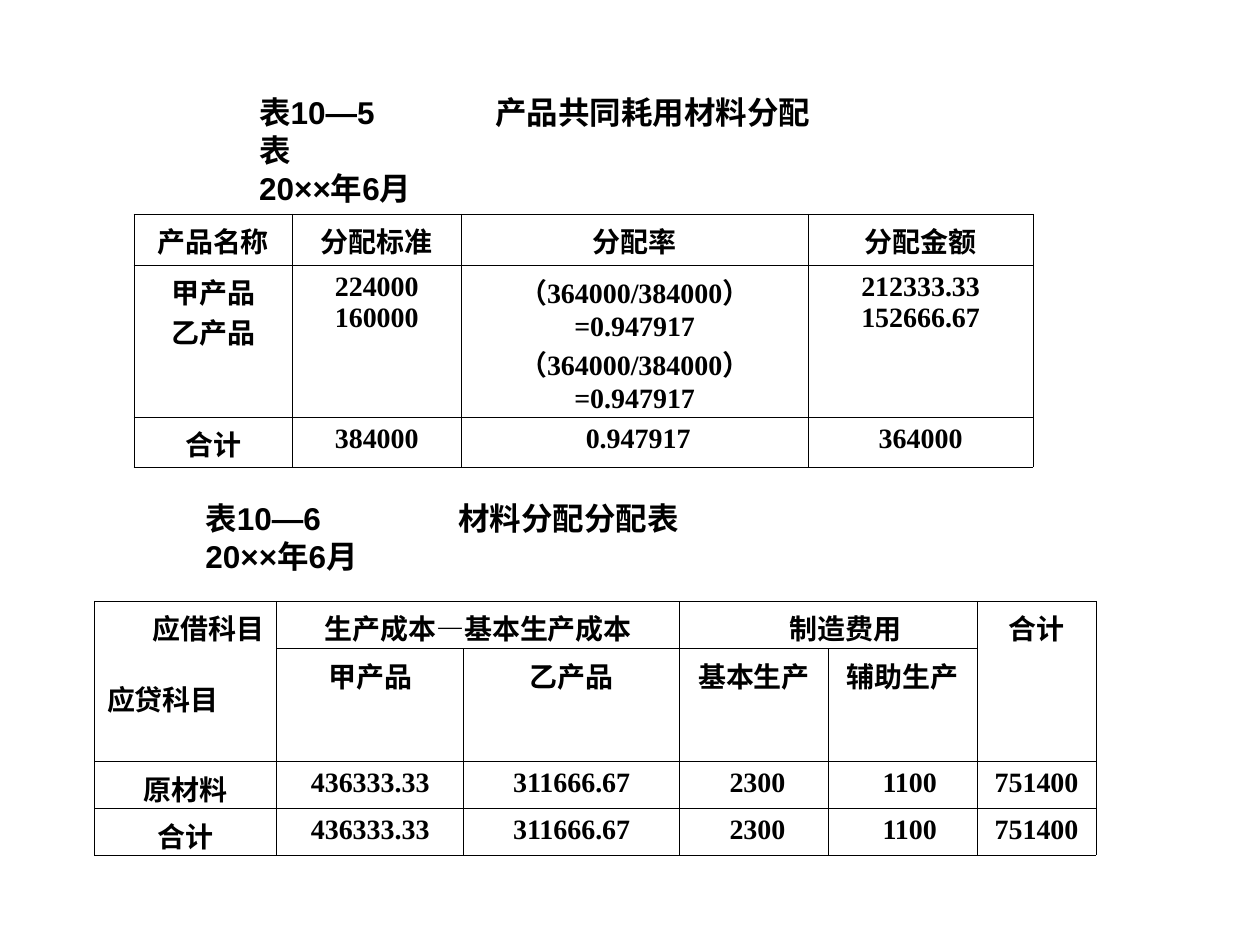
from lxml.etree import SubElement
from pptx import Presentation
from pptx.dml.color import RGBColor
from pptx.enum.text import MSO_ANCHOR, PP_ALIGN
from pptx.oxml import parse_xml
from pptx.oxml.ns import nsdecls, qn
from pptx.util import Pt

BLACK = RGBColor(0, 0, 0)
CAPTION_FONT = "Arial"
TABLE_FONT = "Times New Roman"
CHINESE_FONT = "Noto Sans CJK SC"


def write_text(frame, paragraphs, font, size, align=PP_ALIGN.LEFT, tab=None,
               east_asian=None, gap=0):
    """Write paragraphs; each is a string or a list of (text, font) runs."""
    for index, content in enumerate(paragraphs):
        paragraph = frame.paragraphs[0] if index == 0 else frame.add_paragraph()
        if tab:
            properties = paragraph._p.get_or_add_pPr()
            tabs = SubElement(properties, qn("a:tabLst"))
            SubElement(tabs, qn("a:tab"), pos=str(Pt(tab)), algn="l")
        paragraph.alignment = align
        if index and gap:
            paragraph.space_before = Pt(gap)
        runs = [(content, font)] if isinstance(content, str) else content
        for text, name in runs:
            run = paragraph.add_run()
            run.text = text
            run.font.name = name
            run.font.size = Pt(size)
            run.font.bold = True
            run.font.color.rgb = BLACK
            if east_asian:
                SubElement(run._r.get_or_add_rPr(), qn("a:ea"), typeface=east_asian)


class TableSlide:
    caption_size = 18
    table_size = 16
    border_width = 0.45
    side_margin = 7.2
    top_margin = 3.6

    def __init__(self, slide):
        self.slide = slide

    def add_caption(self, left, top, width, height, lines, tab):
        shape = self.slide.shapes.add_textbox(Pt(left), Pt(top), Pt(width), Pt(height))
        frame = shape.text_frame
        frame.word_wrap = True
        frame.vertical_anchor = MSO_ANCHOR.MIDDLE
        write_text(frame, lines, CAPTION_FONT, self.caption_size, tab=tab)

    def add_table(self, left, top, columns, rows, cells, merges=(), shifts=None):
        """Fill a grid from {(row, column): paragraphs}; shifts move text right."""
        shape = self.slide.shapes.add_table(
            len(rows), len(columns), Pt(left), Pt(top), Pt(sum(columns)), Pt(sum(rows)))
        table = shape.table
        table.first_row = table.horz_banding = False
        for column, width in zip(table.columns, columns):
            column.width = Pt(width)
        for row, height in zip(table.rows, rows):
            row.height = Pt(height)
        for cell in table.iter_cells():
            cell.margin_left = cell.margin_right = Pt(self.side_margin)
            cell.margin_top, cell.margin_bottom = Pt(self.top_margin), 0
            cell.fill.background()
            self.add_borders(cell)
        for first, last in merges:
            table.cell(*first).merge(table.cell(*last))
        for position, paragraphs in cells.items():
            cell = table.cell(*position)
            cell.margin_left = Pt(self.side_margin + (shifts or {}).get(position, 0))
            write_text(cell.text_frame, paragraphs, TABLE_FONT, self.table_size,
                       align=PP_ALIGN.CENTER, east_asian=CHINESE_FONT)
        return table

    def add_borders(self, cell):
        properties = cell._tc.get_or_add_tcPr()
        for index, side in enumerate(("lnL", "lnR", "lnT", "lnB")):
            properties.insert(index, parse_xml(
                f'<a:{side} {nsdecls("a")} w="{Pt(self.border_width)}"><a:solidFill>'
                f'<a:srgbClr val="{BLACK}"/></a:solidFill></a:{side}>'))


def grid(rows, first_row=0):
    """Map rows of cell contents to positions; a string is one paragraph."""
    return {(r, c): [content] if isinstance(content, str) else content
            for r, row in enumerate(rows, first_row) for c, content in enumerate(row)}


def main():
    presentation = Presentation()
    presentation.slide_width, presentation.slide_height = Pt(720), Pt(540)
    page = TableSlide(presentation.slides.add_slide(presentation.slide_layouts[6]))

    # Shared material allocation
    page.add_caption(141, 60.5, 347, 50.4,
                     ["表10—5\t产品共同耗用材料分配表", "20××年6月"], tab=135)
    rate = "（364000/384000）=0.947917"
    page.add_table(
        76.6, 122.4, [90.4, 96.6, 198.2, 128.6], [29, 87, 28.5],
        grid([
            ["产品名称", "分配标准", "分配率", "分配金额"],
            [["甲产品", "乙产品"], ["224000", "160000"], [rate, rate],
             ["212333.33", "152666.67"]],
            ["合计", "384000", "0.947917", "364000"],
        ]),
        shifts={(2, 2): 4})

    # Material distribution by account
    page.add_caption(110.3, 281.5, 493, 50.4,
                     ["表10—6\t材料分配分配表", "20××年6月"], tab=144.5)
    amounts = ["436333.33", "311666.67", "2300", "1100", "751400"]
    production_cost = [("生产成本", TABLE_FONT), ("—", CHINESE_FONT),
                       ("基本生产成本", TABLE_FONT)]
    cells = {
        (0, 1): [production_cost], (0, 3): ["制造费用"], (0, 5): ["合计"],
        (1, 1): ["甲产品"], (1, 2): ["乙产品"],
        (1, 3): ["基本生产"], (1, 4): ["辅助生产"],
        **grid([["原材料", *amounts], ["合计", *amounts]], first_row=2),
    }
    table = page.add_table(
        54, 343.6, [104.2, 106.8, 123.4, 85, 85, 68], [27, 64.5, 27, 26.6], cells,
        merges=[((0, 0), (1, 0)), ((0, 1), (0, 2)), ((0, 3), (0, 4)), ((0, 5), (1, 5))],
        shifts={(0, 3): 20, (2, 3): 4, (3, 3): 4, (2, 4): 8, (3, 4): 8})

    # Corner cell: debit account on the right, credit account on the left
    corner = table.cell(0, 0).text_frame
    write_text(corner, ["应借科目", "应贷科目"], TABLE_FONT, page.table_size,
               east_asian=CHINESE_FONT, gap=17.5)
    corner.paragraphs[0].alignment = PP_ALIGN.RIGHT

    presentation.save("out.pptx")


if __name__ == "__main__":
    main()
